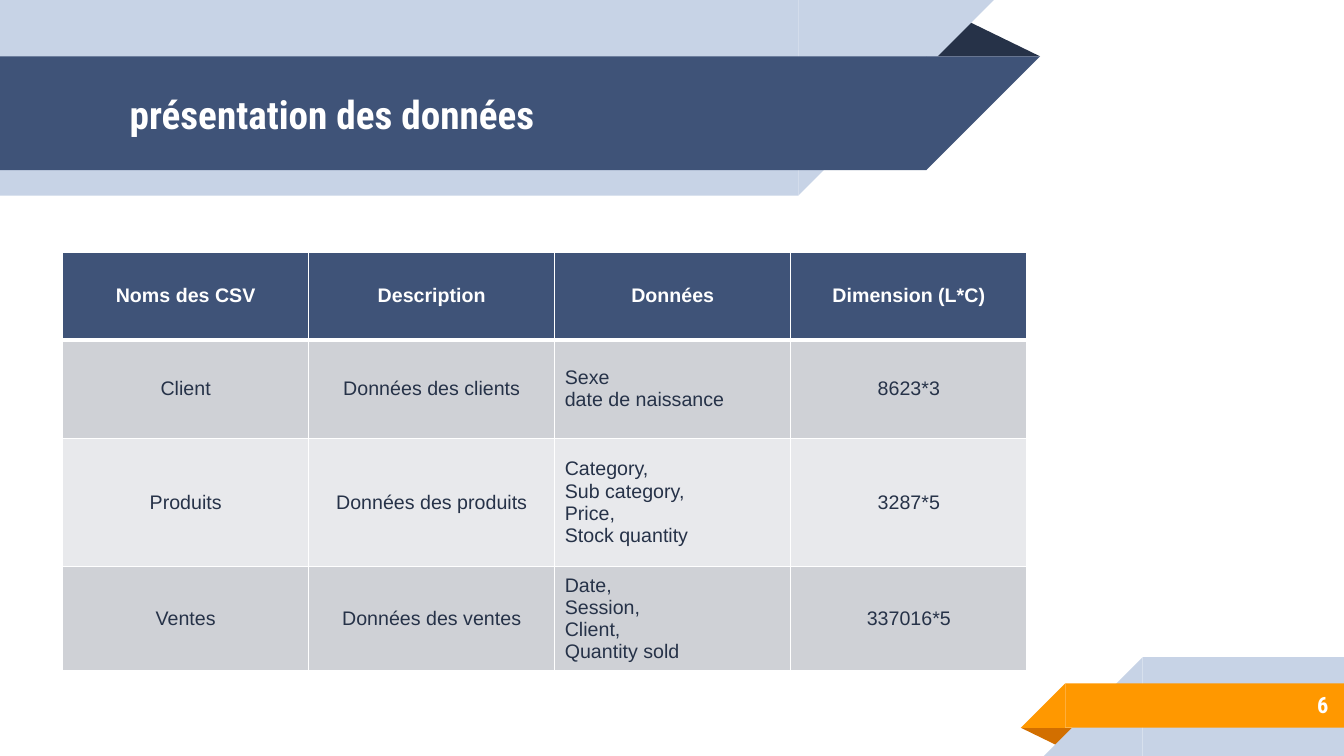
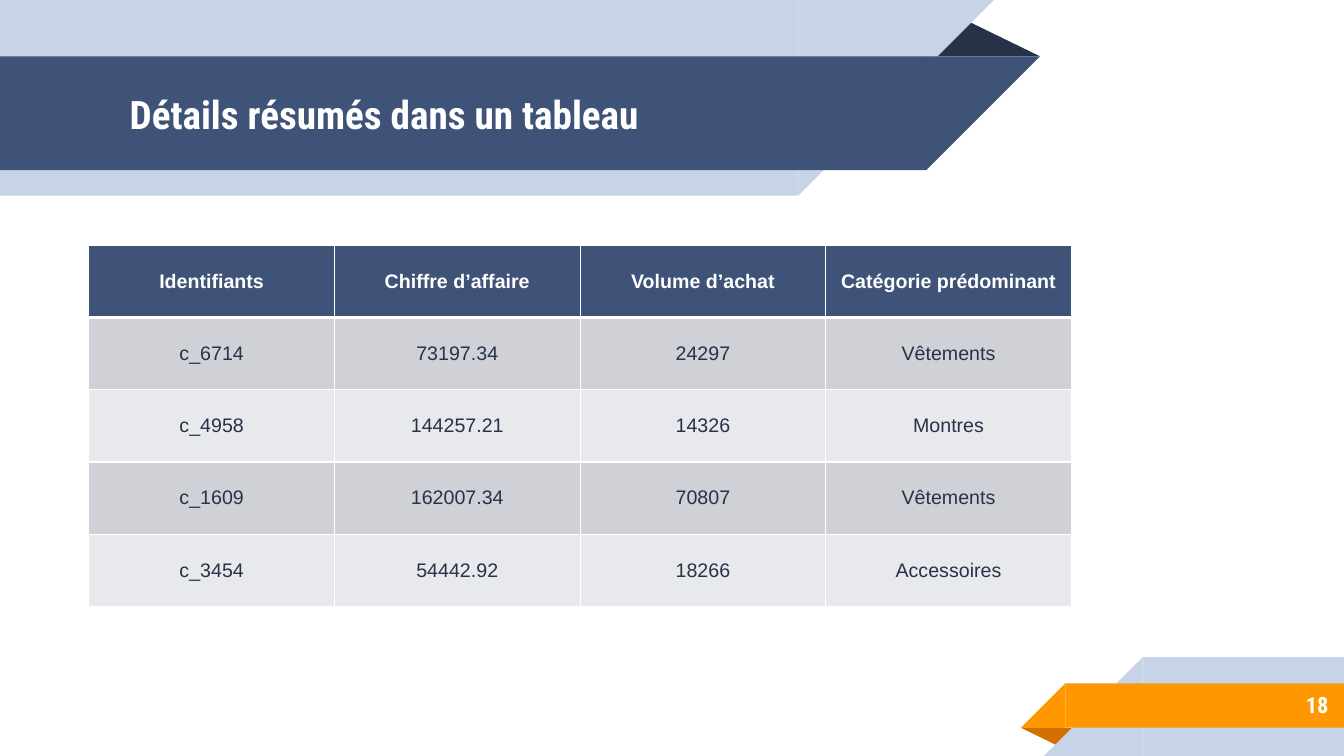
import collections

import pptx
import pptx.dml.color
import pptx.enum.shapes
import pptx.enum.text
import pptx.oxml
import pptx.oxml.ns
import pptx.util

Cm = pptx.util.Cm
Pt = pptx.util.Pt
RGBColor = pptx.dml.color.RGBColor
Shape = pptx.enum.shapes.MSO_SHAPE
Align = pptx.enum.text.PP_ALIGN
MIDDLE = pptx.enum.text.MSO_ANCHOR.MIDDLE

NAVY = RGBColor(0x3F, 0x53, 0x78)
DARK = RGBColor(0x26, 0x32, 0x48)
PALE = RGBColor(0xC7, 0xD3, 0xE6)
ORANGE = RGBColor(0xFF, 0x98, 0x00)
RUST = RGBColor(0xD2, 0x6F, 0x00)
WHITE = RGBColor(0xFF, 0xFF, 0xFF)
ROW_FILLS = (RGBColor(0xCF, 0xD1, 0xD6), RGBColor(0xE8, 0xE9, 0xEC))

# Lengths in centimetres
Box = collections.namedtuple("Box", "left top width height")
SLIDE = Box(0, 0, 33.87, 19.05)
HEADER = Box(0, 0, 26.21, 4.93)
FOOTER = Box(25.73, 16.56, 8.14, 2.49)

TITLE_FONT = {"name": "Roboto Condensed", "size": Pt(28), "bold": True}
NUMBER_FONT = {**TITLE_FONT, "size": Pt(16)}
HEAD_FONT = {"name": "Arial", "size": Pt(14), "bold": True}
BODY_FONT = {**HEAD_FONT, "bold": False}
FRAME = {
    "word_wrap": True, "vertical_anchor": MIDDLE,
    "margin_left": Cm(0.25), "margin_right": Cm(0.25),
    "margin_top": Cm(0.25), "margin_bottom": Cm(0.25),
}


def set_format(target, values):
    for name, value in values.items():
        setattr(target, name, value)


def inside(region, left, top, width, height):
    """Turn a place relative to the region into a place on the slide."""
    return Box(region.left + left, region.top + top, width, height)


def to_cm(box):
    return [Cm(length) for length in box]


def write(paragraph, text, font, color, align):
    paragraph.alignment = align
    run = paragraph.add_run()
    run.text = text
    set_format(run.font, font)
    run.font.color.rgb = color


def add_label(slide, box, text, font, align):
    frame = slide.shapes.add_textbox(*to_cm(box)).text_frame
    set_format(frame, FRAME)
    write(frame.paragraphs[0], text, font, WHITE, align)


def add_piece(slide, preset, box, color, rotation=0, mirrored=False):
    piece = slide.shapes.add_shape(preset, *to_cm(box))
    piece.shadow.inherit = False
    piece.fill.solid()
    piece.fill.fore_color.rgb = color
    piece.line.fill.background()
    piece.rotation = rotation
    if mirrored:
        piece._element.spPr.xfrm.set("flipH", "1")
    return piece


def add_fold(slide, box, color, rotation=0):
    fold = add_piece(slide, Shape.ISOSCELES_TRIANGLE, box, color, rotation)
    fold.adjustments[0] = 0.32


def add_band(slide, box, color, tip_on_right):
    """Draw a band whose one end is cut at 45 degrees."""
    body_width = box.width - box.height
    body_left, tip_left = (0, body_width) if tip_on_right else (box.height, 0)
    body = inside(box, body_left, 0, body_width, box.height)
    tip = inside(box, tip_left, 0, box.height, box.height)
    add_piece(slide, Shape.RECTANGLE, body, color)
    add_piece(slide, Shape.RIGHT_TRIANGLE, tip, color,
              rotation=180 if tip_on_right else 0, mirrored=True)


def add_header(slide, region, title):
    title_band = inside(region, 0, 1.42, region.width, 2.87)
    add_fold(slide, inside(region, region.width - 2.9, 0.46, 2.9, 0.96), DARK)
    add_band(slide, inside(region, 0, 0, 25.05, region.height), PALE, True)
    add_band(slide, title_band, NAVY, True)
    add_label(slide, inside(title_band, 3.02, 0.02, 20.35, 2.85),
              title, TITLE_FONT, Align.LEFT)


def add_footer(slide, region, number):
    number_band = inside(region, 0, 0.66, region.width, 1.12)
    add_fold(slide, inside(region, 0, 1.78, 1.45, 0.48), RUST, rotation=180)
    add_band(slide, inside(region, 0.58, 0, region.width - 0.58, region.height),
             PALE, False)
    add_band(slide, number_band, ORANGE, False)
    add_label(slide, inside(number_band, 2.49, -0.05, 5.51, 1.17),
              str(number), NUMBER_FONT, Align.RIGHT)


def add_borders(cell, widths):
    """Draw white cell edges; widths maps L, R, T and B to points."""
    properties = cell._tc.get_or_add_tcPr()
    for side, width in widths.items():
        properties.append(pptx.oxml.parse_xml(
            f'<a:ln{side} {pptx.oxml.ns.nsdecls("a")} w="{Pt(width)}">'
            f'<a:solidFill><a:srgbClr val="{WHITE}"/></a:solidFill></a:ln{side}>'))


def fill_cell(cell, text, row):
    is_head = row == 0
    add_borders(cell, {"L": 1, "R": 1, "T": 3 if row == 1 else 1,
                       "B": 3 if is_head else 1})
    cell.fill.solid()
    cell.fill.fore_color.rgb = NAVY if is_head else ROW_FILLS[(row - 1) % 2]
    cell.vertical_anchor = MIDDLE
    lines = text.split("\n")
    frame = cell.text_frame
    for index, line in enumerate(lines):
        paragraph = frame.add_paragraph() if index else frame.paragraphs[0]
        write(paragraph, line, HEAD_FONT if is_head else BODY_FONT,
              WHITE if is_head else DARK,
              Align.LEFT if len(lines) > 1 else Align.CENTER)


def add_data_table(slide, left, top, column_widths, row_heights, rows):
    box = Box(left, top, sum(column_widths), sum(row_heights))
    table = slide.shapes.add_table(
        len(rows), len(column_widths), *to_cm(box)).table
    table.horz_banding = False
    for column, width in zip(table.columns, column_widths):
        column.width = Cm(width)
    for table_row, height in zip(table.rows, row_heights):
        table_row.height = Cm(height)
    for row, texts in enumerate(rows):
        for column, text in enumerate(texts):
            fill_cell(table.cell(row, column), text, row)


def add_table_slide(deck, title, number, **table):
    slide = deck.slides.add_slide(deck.slide_layouts[6])
    add_footer(slide, FOOTER, number)
    add_header(slide, HEADER, title)
    add_data_table(slide, **table)


def main():
    deck = pptx.Presentation()
    deck.slide_width, deck.slide_height = Cm(SLIDE.width), Cm(SLIDE.height)
    add_table_slide(
        deck, "présentation des données", 6,
        left=1.58, top=6.36,
        column_widths=[6.2, 6.2, 5.95, 5.95],
        row_heights=[2.2, 2.48, 3.23, 2.48],
        rows=[
            ("Noms des CSV", "Description", "Données", "Dimension (L*C)"),
            ("Client", "Données des clients",
             "Sexe\ndate de naissance", "8623*3"),
            ("Produits", "Données des produits",
             "Category,\nSub category,\nPrice,\nStock quantity", "3287*5"),
            ("Ventes", "Données des ventes",
             "Date,\nSession,\nClient,\nQuantity sold", "337016*5"),
        ])
    add_table_slide(
        deck, "Détails résumés dans un tableau", 18,
        left=2.24, top=6.18,
        column_widths=[6.19] * 4, row_heights=[1.82] * 5,
        rows=[
            ("Identifiants", "Chiffre d’affaire", "Volume d’achat",
             "Catégorie prédominant"),
            ("c_6714", "73197.34", "24297", "Vêtements"),
            ("c_4958", "144257.21", "14326", "Montres"),
            ("c_1609", "162007.34", "70807", "Vêtements"),
            ("c_3454", "54442.92", "18266", "Accessoires"),
        ])
    deck.save("out.pptx")


if __name__ == "__main__":
    main()
